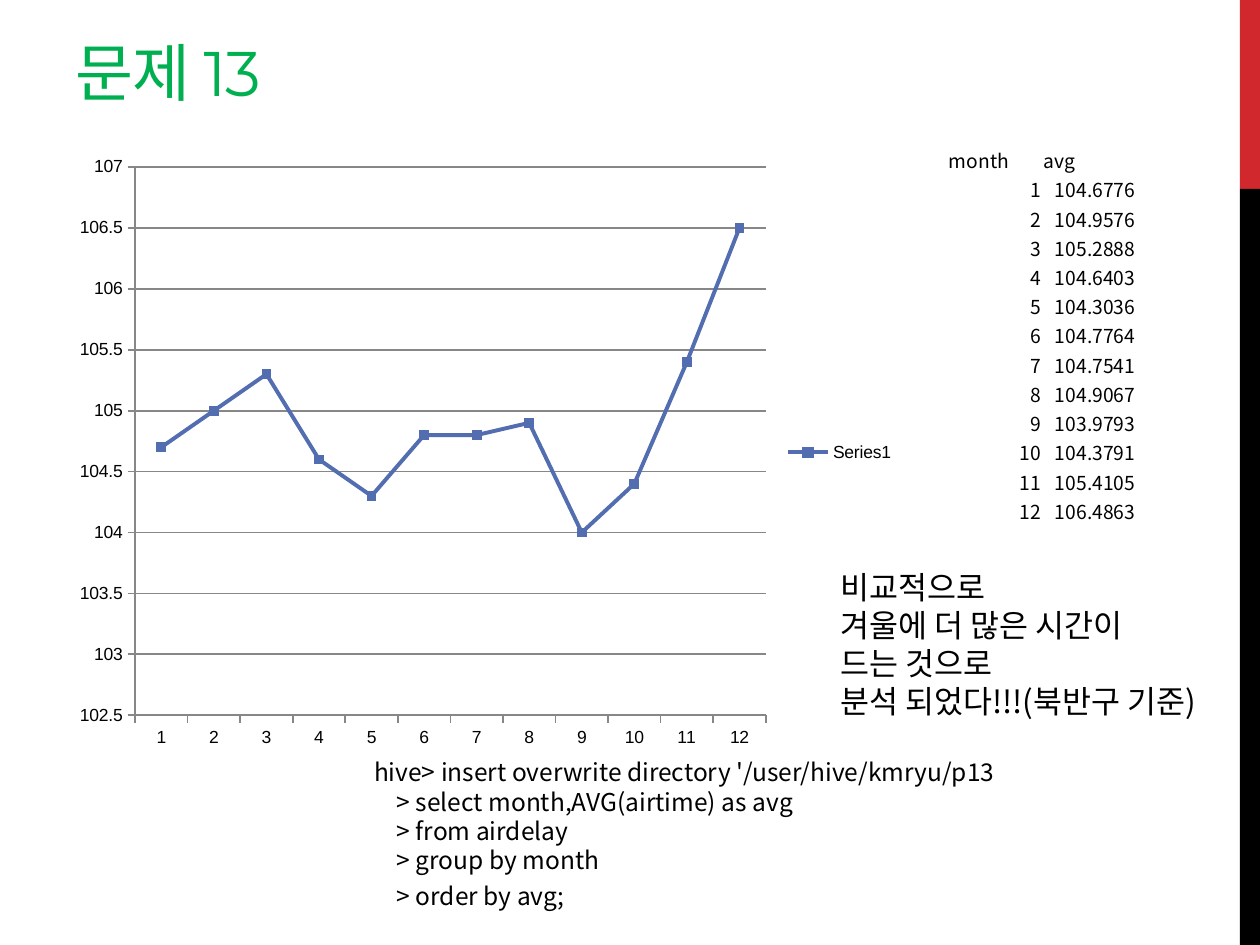
"""Build the slide on average air time by month: line chart, table and query."""
import pptx
import pptx.chart.data
import pptx.dml.color
import pptx.enum.chart
import pptx.enum.shapes
import pptx.enum.text
import pptx.oxml
import pptx.oxml.ns
import pptx.util
from pptx.util import Inches, Pt

RED = pptx.dml.color.RGBColor(0xD1, 0x28, 0x2E)
BLACK = pptx.dml.color.RGBColor(0, 0, 0)
GREEN = pptx.dml.color.RGBColor(0x00, 0xB0, 0x50)
BLUE = pptx.dml.color.RGBColor(0x52, 0x6D, 0xB0)
GRAY = pptx.dml.color.RGBColor(0x87, 0x87, 0x87)
WHITE = pptx.dml.color.RGBColor(0xFF, 0xFF, 0xFF)
FONT = "Noto Sans CJK KR"
ALIGN = pptx.enum.text.PP_ALIGN
AVERAGES = ["104.6776", "104.9576", "105.2888", "104.6403", "104.3036", "104.7764",
            "104.7541", "104.9067", "103.9793", "104.3791", "105.4105", "106.4863"]
MONTHS = [str(month) for month in range(1, 13)]


def format_paragraph(p, size, color=BLACK, font=FONT, align=ALIGN.LEFT):
    p.alignment = align
    for r in p.runs:
        r.font.size = Pt(size)
        r.font.name = font
        r.font.bold = False
        r.font.color.rgb = color
        ea = pptx.oxml.parse_xml(
            f'<a:ea {pptx.oxml.ns.nsdecls("a")} typeface="{FONT}"/>')
        r.font._element.find(pptx.oxml.ns.qn("a:latin")).addnext(ea)


def add_text(s, left, top, width, height, lines, size):
    sp = s.shapes.add_textbox(Inches(left), Inches(top), Inches(width), Inches(height))
    tf = sp.text_frame
    tf.word_wrap = True
    tf.text = "\n".join(lines)
    for p in tf.paragraphs:
        format_paragraph(p, size)
        p.line_spacing = Pt(size * 1.2)
    return tf


prs = pptx.Presentation()
prs.slide_width = Inches(10)
prs.slide_height = Inches(7.5)
s = prs.slides.add_slide(prs.slide_layouts[5])
s.background.fill.solid()
s.background.fill.fore_color.rgb = WHITE

for top, height, color in [(0, 1.5, RED), (1.5, 6, BLACK)]:
    sp = s.shapes.add_shape(pptx.enum.shapes.MSO_SHAPE.RECTANGLE,
                            Inches(9.84), Inches(top), Inches(0.16), Inches(height))
    sp.shadow.inherit = False
    sp.fill.solid()
    sp.fill.fore_color.rgb = color
    sp.line.fill.background()

title = s.shapes.title
title.left, title.top = Inches(0.5), Inches(0.17)
title.width, title.height = Inches(6.33), Inches(0.75)
tf = title.text_frame
tf.text = "문제 13"
tf.auto_size = pptx.enum.text.MSO_AUTO_SIZE.NONE
tf.vertical_anchor = pptx.enum.text.MSO_ANCHOR.BOTTOM
format_paragraph(tf.paragraphs[0], 36, GREEN, "Montserrat")
tf.paragraphs[0].line_spacing = Pt(43.2)
tf.paragraphs[0].runs[0].font._element.set("spc", "-60")

data = pptx.chart.data.CategoryChartData()
data.categories = MONTHS
data.add_series("Series1", [round(float(avg), 1) for avg in AVERAGES])
chart = s.shapes.add_chart(pptx.enum.chart.XL_CHART_TYPE.LINE_MARKERS_STACKED,
                           Inches(0.5), Inches(1.15), Inches(6.7), Inches(4.88),
                           data).chart
chart.has_title = False
chart.font.name = "Arial"
chart.font.size = Pt(10)
chart.font.color.rgb = BLACK
chart.has_legend = True
chart.legend.position = pptx.enum.chart.XL_LEGEND_POSITION.RIGHT
chart.legend.include_in_layout = False
for axis in (chart.category_axis, chart.value_axis):
    axis.major_tick_mark = pptx.enum.chart.XL_TICK_MARK.OUTSIDE
    axis.minor_tick_mark = pptx.enum.chart.XL_TICK_MARK.NONE
    axis.format.line.color.rgb = GRAY
    axis.format.line.width = Pt(1)
axis = chart.value_axis
axis.minimum_scale, axis.maximum_scale, axis.major_unit = 102.5, 107, 0.5
axis.tick_labels.number_format = "General"
axis.tick_labels.number_format_is_linked = False
axis.has_major_gridlines = True
axis.major_gridlines.format.line.color.rgb = GRAY
axis.major_gridlines.format.line.width = Pt(1)
chart.plots[0].vary_by_categories = False
series = chart.plots[0].series[0]
series.smooth = False
series.format.line.color.rgb = BLUE
series.format.line.width = Pt(2.25)
series.marker.style = pptx.enum.chart.XL_MARKER_STYLE.SQUARE
series.marker.size = 5
series.marker.format.fill.solid()
series.marker.format.fill.fore_color.rgb = BLUE
series.marker.format.line.color.rgb = BLUE

rows = [("month", "avg"), *zip(MONTHS, AVERAGES)]
table = s.shapes.add_table(len(rows), 2, Inches(7.52), Inches(1.15),
                           Inches(1.5), Inches(2.98)).table
table.first_row = False
table.horz_banding = False
for i, row in enumerate(rows):
    for j, text in enumerate(row):
        cell = table.cell(i, j)
        cell.fill.background()
        cell.vertical_anchor = pptx.enum.text.MSO_ANCHOR.MIDDLE
        cell.margin_left = cell.margin_right = cell.margin_top = Inches(0.01)
        cell.margin_bottom = 0
        cell.text_frame.text = text
        format_paragraph(cell.text_frame.paragraphs[0], 11,
                         align=ALIGN.RIGHT if i else ALIGN.LEFT)

add_text(s, 6.57, 4.46, 3.05, 1.31,
         ["비교적으로", "겨울에 더 많은 시간이", "드는 것으로",
          "분석 되었다!!!(북반구 기준)"], 18)

tf = add_text(s, 2.87, 5.96, 5.49, 1.35,
              ["hive> insert overwrite directory '/user/hive/kmryu/p13",
               "> select month,AVG(airtime) as avg", "> from airdelay",
               "> group by month", "> order by avg;"], 14)
for p in tf.paragraphs[1:]:
    p._p.get_or_add_pPr().set("marL", str(Inches(0.18)))
tf.paragraphs[-1].space_before = Pt(3.5)

prs.save("out.pptx")
